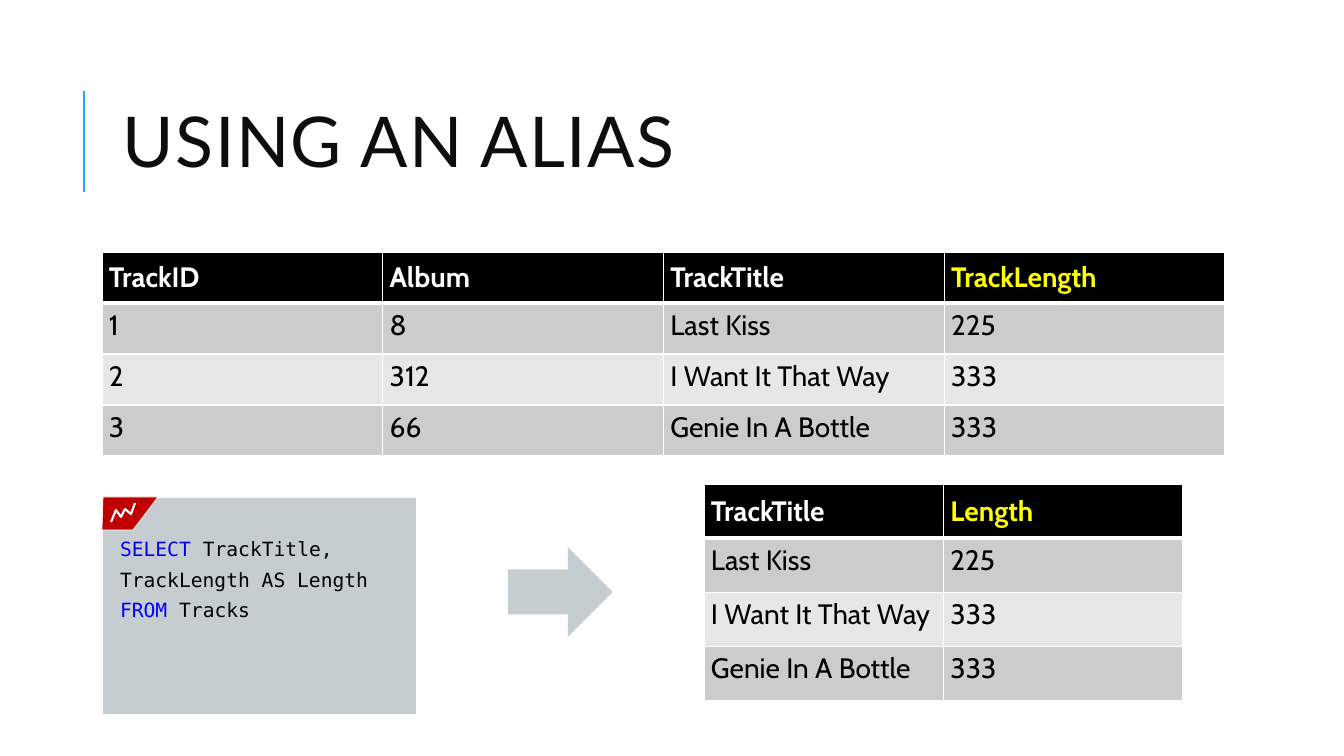
from lxml import etree
from pptx import Presentation
from pptx.dml.color import RGBColor
from pptx.enum.shapes import MSO_CONNECTOR, MSO_SHAPE
from pptx.enum.text import MSO_ANCHOR
from pptx.oxml.ns import qn
from pptx.util import Pt

UNIT = 914400 / 100.8
RECT = MSO_SHAPE.RECTANGLE
ARROW = MSO_SHAPE.RIGHT_ARROW
STRAIGHT = MSO_CONNECTOR.STRAIGHT
TOP, MIDDLE = MSO_ANCHOR.TOP, MSO_ANCHOR.MIDDLE
INK = {
    "white": "FFFFFF", "black": "000000", "title": "0D0D0D",
    "sky": "1CADE4", "steel": "C6CDD1", "red": "C00000",
    "blue": "0000FF", "yellow": "FFFF00", "dark": "CCCCCC", "light": "E7E7E7",
}
HEAD, BODY, CODE = "Lato", "Cabin", "DejaVu Sans Mono"


def px(*nums):
    return [round(n * UNIT) for n in nums]


class Deck:
    def __init__(self):
        self.file = Presentation()
        self.file.slide_width, self.file.slide_height = px(1344, 756)
        self.slide = self.file.slides.add_slide(self.file.slide_layouts[6])
        self.items = self.slide.shapes

    def color(self, name):
        return RGBColor.from_string(INK[name])

    def run(self, para, text, font, size, ink, bold=False, gap=0):
        run = para.add_run()
        run.text = text
        run.font.name = font
        run.font.size = Pt(size)
        run.font.bold = bold
        run.font.color.rgb = self.color(ink)
        if gap:
            run.font._element.set("spc", str(gap * 100))

    def text(self, box, lines, font, size, inset=(10, 5), anchor=TOP,
             before=0, spacing=1.0, gap=0):
        frame = self.items.add_textbox(*px(*box)).text_frame
        frame.word_wrap = True
        frame.vertical_anchor = anchor
        side, edge = px(*inset)
        frame.margin_left = frame.margin_right = side
        frame.margin_top = frame.margin_bottom = edge
        for i, line in enumerate(lines):
            para = frame.add_paragraph() if i else frame.paragraphs[0]
            para.space_before = Pt(before)
            para.line_spacing = spacing
            for words, ink in line:
                self.run(para, words, font, size, ink, gap=gap)

    def paint(self, shape, fill, line=None, width=0.5):
        shape.shadow.inherit = False
        shape.fill.solid()
        shape.fill.fore_color.rgb = self.color(fill)
        if line:
            shape.line.color.rgb = self.color(line)
            shape.line.width = Pt(width)
        else:
            shape.line.fill.background()

    def shape(self, kind, box, fill, line=None):
        self.paint(self.items.add_shape(kind, *px(*box)), fill, line)

    def free(self, points, fill, line, width, close):
        form = self.items.build_freeform(*points[0], scale=UNIT)
        form.add_line_segments(points[1:], close=close)
        self.paint(form.convert_to_shape(), fill, line, width)

    def line(self, ends, ink, width):
        rule = self.items.add_connector(STRAIGHT, *px(*ends))
        rule.line.color.rgb = self.color(ink)
        rule.line.width = Pt(width)
        etree.SubElement(rule._element.spPr, qn("a:effectLst"))

    def border(self, cell, row):
        widths = {"L": 1, "R": 1, "T": 3 if row == 1 else 1, "B": 1 if row else 3}
        props = cell._tc.get_or_add_tcPr()
        for i, (side, width) in enumerate(widths.items()):
            edge = etree.Element(qn("a:ln" + side), w=str(Pt(width)))
            fill = etree.SubElement(edge, qn("a:solidFill"))
            etree.SubElement(fill, qn("a:srgbClr"), val=INK["white"])
            props.insert(i, edge)

    def table(self, box, rows):
        grid = self.items.add_table(len(rows), len(rows[0]), *px(*box)).table
        side, edge = px(7, 5)
        for r, row in enumerate(rows):
            for c, words in enumerate(row):
                cell = grid.cell(r, c)
                cell.margin_left = cell.margin_right = side
                cell.margin_top = cell.margin_bottom = edge
                cell.vertical_anchor = TOP if r else MIDDLE
                cell.fill.solid()
                fill = ("dark" if r % 2 else "light") if r else "black"
                cell.fill.fore_color.rgb = self.color(fill)
                self.border(cell, r)
                last = c == len(row) - 1
                ink = "black" if r else "yellow" if last else "white"
                para = cell.text_frame.paragraphs[0]
                para.space_before = Pt(3)
                self.run(para, words, BODY, 20, ink, bold=not r)


tracks = [
    ("1", "8", "Last Kiss", "225"),
    ("2", "312", "I Want It That Way", "333"),
    ("3", "66", "Genie In A Bottle", "333"),
]
query = [
    [("SELECT ", "blue"), ("TrackTitle,", "black")],
    [("TrackLength AS Length", "black")],
    [("FROM", "blue"), (" Tracks", "black")],
]
badge = [(158, 497), (133, 530), (102, 530), (103, 497)]
spark = [(135, 503), (131, 514), (125, 509), (121, 517), (116, 510), (111, 522)]

deck = Deck()
deck.line((84, 192, 84, 91), "sky", 1.5)
deck.text((113, 65, 1072, 165), [[("USING AN ALIAS", "title")]], HEAD, 50,
          anchor=MIDDLE, spacing=0.8, gap=1)
deck.table((102, 252, 1123, 204),
           [("TrackID", "Album", "TrackTitle", "TrackLength")] + tracks)
deck.shape(RECT, (102, 497, 314, 217), "steel", "white")
deck.text((120, 537, 273, 109), query, CODE, 14, inset=(0, 0), before=5)
deck.free(badge, "red", "white", 0.5, True)
deck.free(spark, "red", "white", 1.5, False)
deck.shape(ARROW, (508, 547, 105, 90), "steel")
deck.table((704, 484, 479, 217),
           [("TrackTitle", "Length")] + [row[2:] for row in tracks])
deck.file.save("out.pptx")
